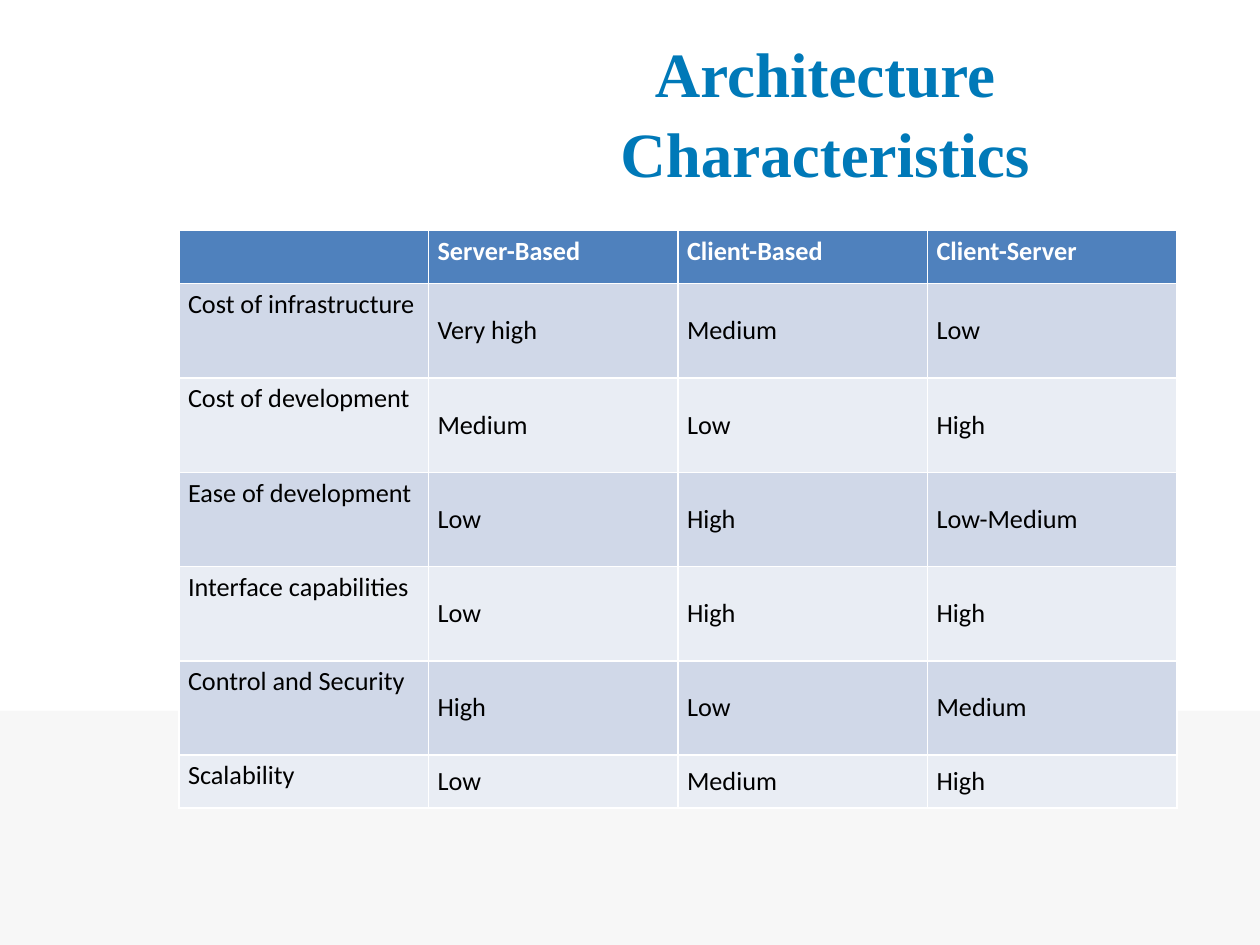
import pptx
import pptx.util
import pptx.dml.color
import pptx.enum.shapes
import pptx.enum.text

Cm, Pt = pptx.util.Cm, pptx.util.Pt
Anchor = pptx.enum.text.MSO_ANCHOR

# Content
TITLE = "Architecture Characteristics"
ROWS = [
    ("", "Server-Based", "Client-Based", "Client-Server"),
    ("Cost of infrastructure", "Very high", "Medium", "Low"),
    ("Cost of development", "Medium", "Low", "High"),
    ("Ease of development", "Low", "High", "Low-Medium"),
    ("Interface capabilities", "Low", "High", "High"),
    ("Control and Security", "High", "Low", "Medium"),
    ("Scalability", "Low", "Medium", "High"),
]

# Formats
HEAD_FILL, BANDS = "4F81BD", ("E9EDF4", "D0D8E8")
TITLE_FONT = dict(name="Times New Roman", size=Pt(36), bold=True)
HEAD_FONT = dict(name="Calibri", size=Pt(15), bold=True)
BODY_FONT = dict(HEAD_FONT, bold=False)
INSETS = dict(margin_left=Cm(0.18), margin_right=Cm(0.18),
              margin_top=Cm(0.1), margin_bottom=Cm(0.1))
COL_W, LOW_H, TALL_H = Cm(5.03), Cm(1.07), Cm(1.9)


def color(code):
    return pptx.dml.color.RGBColor.from_string(code)


def apply(target, values):
    for key, value in values.items():
        setattr(target, key, value)


def paint(item, code):
    item.fill.solid()
    item.fill.fore_color.rgb = color(code)


def write(para, text, font, code):
    para.text = text
    apply(para.font, font)
    para.font.color.rgb = color(code)


def main():
    deck = pptx.Presentation()
    deck.slide_width, deck.slide_height = Cm(25.4), Cm(19.05)
    slide = deck.slides.add_slide(deck.slide_layouts[6])

    # Grey band along the bottom
    top = Cm(14.33)
    band = slide.shapes.add_shape(
        pptx.enum.shapes.MSO_SHAPE.RECTANGLE,
        0, top, deck.slide_width, deck.slide_height - top)
    band.shadow.inherit = False
    band.line.fill.background()
    paint(band, "F7F7F7")

    # Title
    frame = slide.shapes.add_textbox(
        Cm(8.94), Cm(0.64), Cm(15.39), Cm(3.18)).text_frame
    apply(frame, dict(word_wrap=True, vertical_anchor=Anchor.MIDDLE))
    para = frame.paragraphs[0]
    write(para, TITLE, TITLE_FONT, "0079B8")
    apply(para, dict(alignment=pptx.enum.text.PP_ALIGN.CENTER,
                     line_spacing=1.05))

    # Table: low first and last rows, tall rows between
    last = len(ROWS) - 1
    heights = [LOW_H if r in (0, last) else TALL_H for r in range(len(ROWS))]
    count = len(ROWS[0])
    table = slide.shapes.add_table(
        len(ROWS), count, Cm(3.61), Cm(4.65),
        COL_W * count, sum(heights)).table
    for col in table.columns:
        col.width = COL_W
    for r, row in enumerate(ROWS):
        table.rows[r].height = heights[r]
        for c, text in enumerate(row):
            cell = table.cell(r, c)
            apply(cell, INSETS)
            paint(cell, BANDS[r % 2] if r else HEAD_FILL)
            write(cell.text_frame.paragraphs[0], text,
                  BODY_FONT if r else HEAD_FONT,
                  "000000" if r else "FFFFFF")
            if r and c:
                cell.vertical_anchor = Anchor.MIDDLE

    deck.save("out.pptx")


if __name__ == "__main__":
    main()
